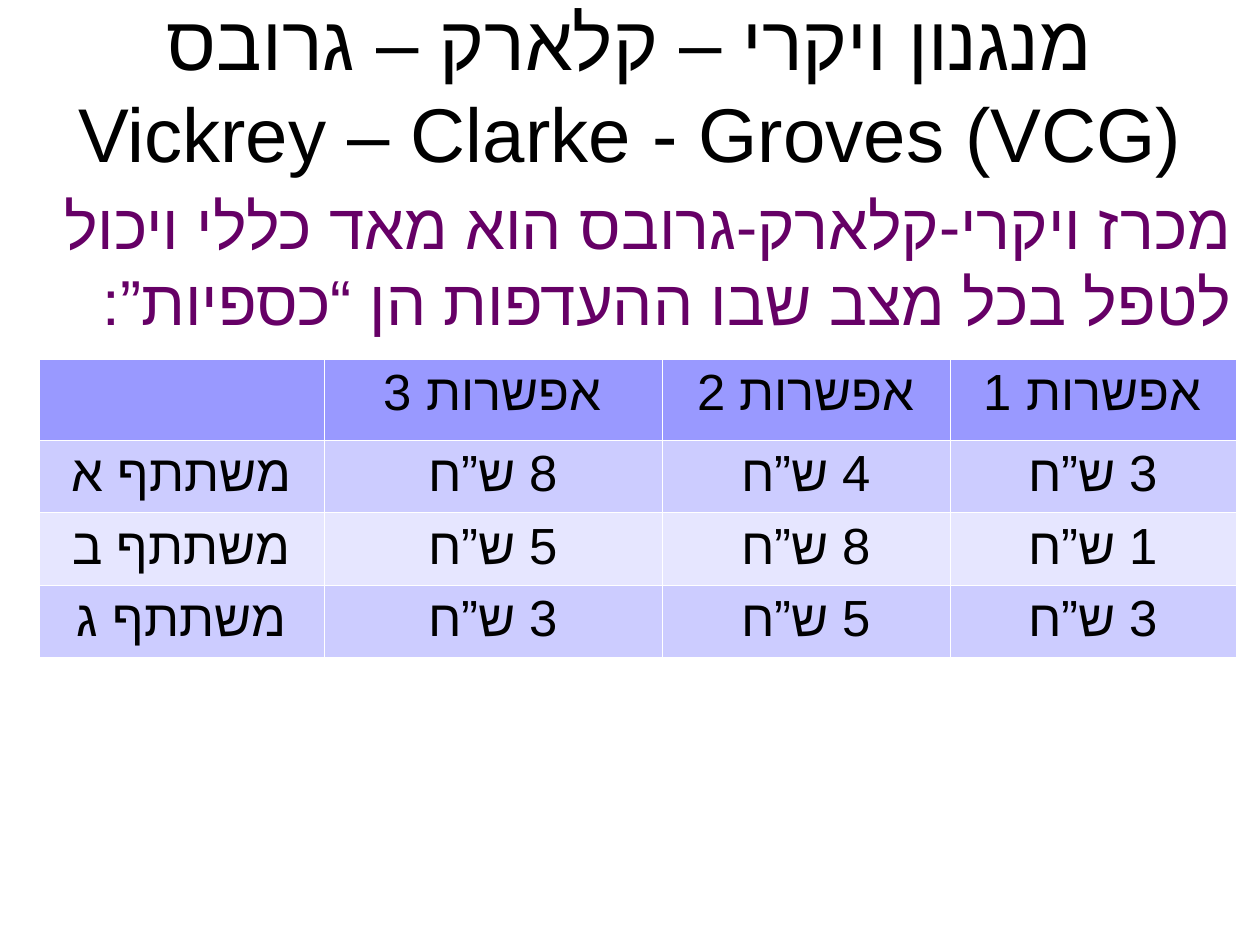
import pptx
import pptx.util
from lxml import etree
from pptx.dml.color import RGBColor
from pptx.enum.text import MSO_ANCHOR, PP_ALIGN
from pptx.oxml.ns import qn

PX = 8000
FONT = "Arial"
BLACK = RGBColor(0x00, 0x00, 0x00)
PURPLE = RGBColor(0x66, 0x00, 0x66)
HEADER_FILL = RGBColor(0x99, 0x99, 0xFF)
BAND_FILLS = (RGBColor(0xCC, 0xCC, 0xFF), RGBColor(0xE6, 0xE6, 0xFF))
BORDER = RGBColor(0xFF, 0xFF, 0xFF)

COLUMN_WIDTHS = (285, 338, 288, 286)
ROW_HEIGHTS = (81, 71, 71, 71)
ROWS = (
    ("", "אפשרות 3", "אפשרות 2", "אפשרות 1"),
    ("משתתף א", "8 ש”ח", "4 ש”ח", "3 ש”ח"),
    ("משתתף ב", "5 ש”ח", "8 ש”ח", "1 ש”ח"),
    ("משתתף ג", "3 ש”ח", "5 ש”ח", "3 ש”ח"),
)


def px(length):
    return pptx.util.Emu(length * PX)


def write_text(frame, text, size, color=BLACK, align=PP_ALIGN.CENTER, rtl=False):
    """Fill a text frame; the font is also set for the Hebrew script."""
    para = frame.paragraphs[0]
    para.text = text
    para.alignment = align
    if rtl:
        para._p.get_or_add_pPr().set("rtl", "1")
    for span in para.runs:
        span.font.name = FONT
        span.font.size = pptx.util.Pt(size)
        span.font.color.rgb = color
        etree.SubElement(span._r.rPr, qn("a:cs"), typeface=FONT)


def add_text(page, text, left, top, width, height, anchor=MSO_ANCHOR.TOP, **text_format):
    box = page.shapes.add_textbox(px(left), px(top), px(width), px(height))
    frame = box.text_frame
    frame.word_wrap = True
    frame.vertical_anchor = anchor
    frame.margin_left = frame.margin_right = 0
    frame.margin_top = frame.margin_bottom = 0
    write_text(frame, text, **text_format)


def set_borders(cell):
    properties = cell._tc.get_or_add_tcPr()
    for position, side in enumerate(("lnL", "lnR", "lnT", "lnB")):
        line = etree.Element(qn(f"a:{side}"), w=str(pptx.util.Pt(0.06)))
        fill = etree.SubElement(line, qn("a:solidFill"))
        etree.SubElement(fill, qn("a:srgbClr"), val=str(BORDER))
        properties.insert(position, line)


def add_preference_table(page, left, top):
    frame = page.shapes.add_table(
        len(ROWS), len(COLUMN_WIDTHS), px(left), px(top),
        px(sum(COLUMN_WIDTHS)), px(sum(ROW_HEIGHTS)))
    table = frame.table
    for column, width in zip(table.columns, COLUMN_WIDTHS):
        column.width = px(width)
    for index, (row, height, texts) in enumerate(zip(table.rows, ROW_HEIGHTS, ROWS)):
        row.height = px(height)
        for cell, text in zip(row.cells, texts):
            cell.fill.solid()
            cell.fill.fore_color.rgb = BAND_FILLS[(index - 1) % 2] if index else HEADER_FILL
            set_borders(cell)
            if text:
                write_text(cell.text_frame, text, size=32, rtl=True)


def main():
    deck = pptx.Presentation()
    deck.slide_width, deck.slide_height = px(1260), px(945)
    page = deck.slides.add_slide(deck.slide_layouts[6])
    add_text(page, "מנגנון ויקרי – קלארק – גרובס\vVickrey – Clarke - Groves (VCG)",
             0, -1, 1260, 174, anchor=MSO_ANCHOR.MIDDLE, size=48)
    add_text(page, "מכרז ויקרי-קלארק-גרובס הוא מאד כללי ויכול לטפל בכל מצב שבו ההעדפות הן “כספיות”:",
             20, 186, 1212, 168, size=40, color=PURPLE, align=PP_ALIGN.RIGHT, rtl=True)
    add_preference_table(page, 39, 359)
    deck.save("out.pptx")


if __name__ == "__main__":
    main()
